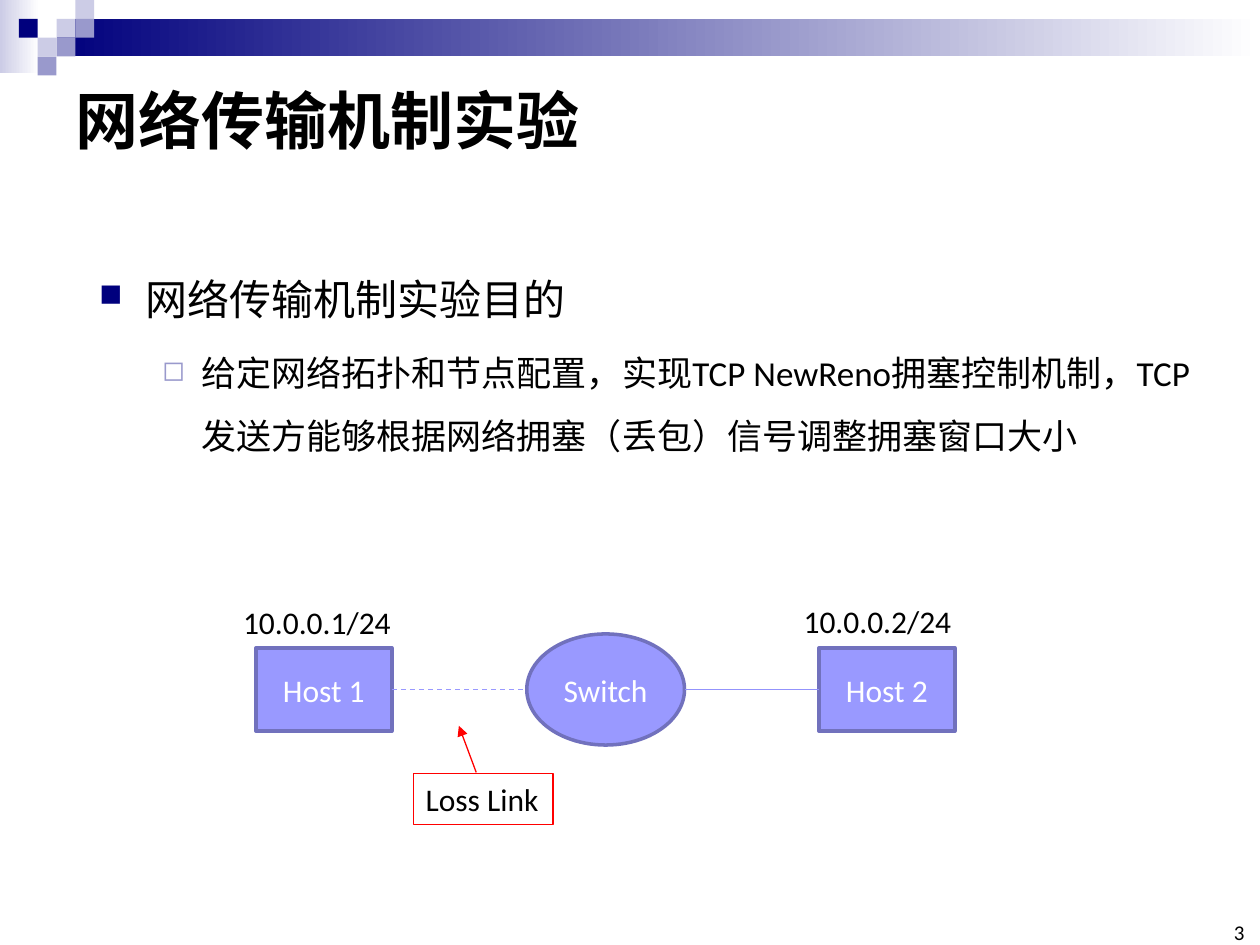
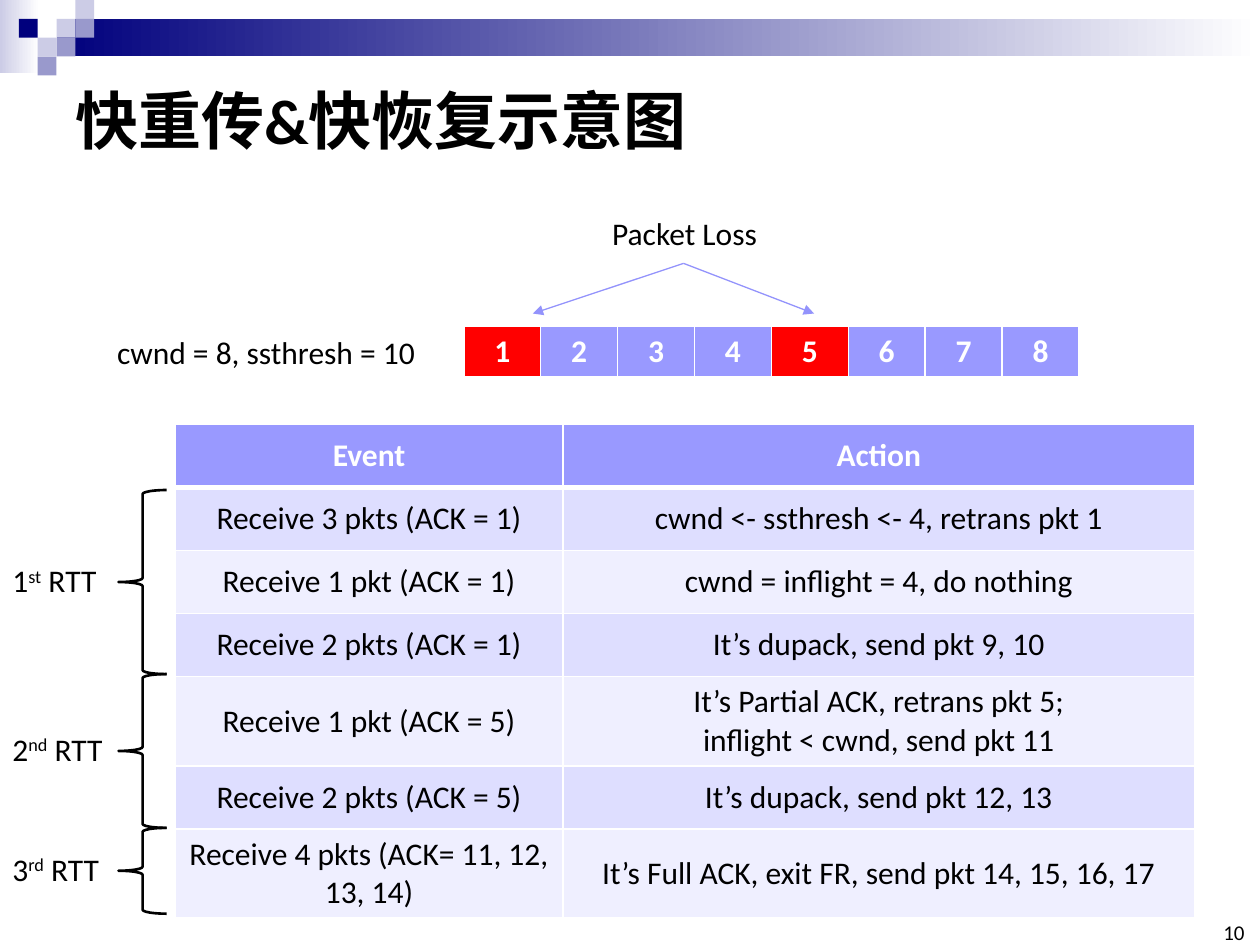
from typing import NamedTuple, Optional

from lxml.etree import SubElement
from pptx import Presentation
from pptx.dml.color import RGBColor
from pptx.enum.dml import MSO_LINE
from pptx.enum.shapes import MSO_CONNECTOR, MSO_SHAPE as SHAPE
from pptx.enum.text import MSO_ANCHOR as ANCHOR, MSO_AUTO_SIZE, PP_ALIGN as ALIGN
from pptx.oxml import parse_xml
from pptx.oxml.ns import nsdecls, qn
from pptx.util import Cm, Pt

FONT = "Calibri"
COLORS = {
    "black": "000000", "white": "FFFFFF", "red": "FF0000",
    "navy": "00007D", "mid": "9999CC", "pale": "CCCCE6",
    "accent": "9999FF", "outline": "7171BD", "link": "9393FC",
    "band_odd": "DEDEFF", "band_even": "EFEFFF",
}


class Box(NamedTuple):
    """Left, top, width and height in centimetres."""
    x: float
    y: float
    w: float
    h: float

    def emu(self) -> list:
        return [Cm(v) for v in self]


class Run(NamedTuple):
    text: str
    size: float = 18
    color: str = "black"
    bold: bool = False
    raised: bool = False


class Bullet(NamedTuple):
    char: str
    color: str
    percent: int
    margin: float
    hang: float
    before: float


class Square(NamedTuple):
    col: int
    row: int
    color: str


class Round(NamedTuple):
    number: str
    suffix: str
    height: float


def rgb(name: str) -> RGBColor:
    return RGBColor.from_string(COLORS[name])


# ---------- text ----------
def add_runs(p, *runs: Run) -> None:
    for run in runs:
        r = p.add_run()
        r.text = run.text
        f = r.font
        f.name, f.size, f.bold = FONT, Pt(run.size), run.bold
        f.color.rgb = rgb(run.color)
        if run.raised:
            r._r.get_or_add_rPr().set("baseline", "30000")


def add_text(s, box: Box, *runs: Run, wrap: bool = False, anchor=ANCHOR.TOP):
    sp = s.shapes.add_textbox(*box.emu())
    tf = sp.text_frame
    tf.word_wrap, tf.vertical_anchor = wrap, anchor
    if not wrap:
        tf.auto_size = MSO_AUTO_SIZE.SHAPE_TO_FIT_TEXT
    add_runs(tf.paragraphs[0], *runs)
    return sp


def add_bullet(p, b: Bullet, run: Run) -> None:
    p.line_spacing, p.space_before = 1.5, Pt(b.before)
    pPr = p._p.get_or_add_pPr()
    pPr.set("marL", str(Cm(b.margin)))
    pPr.set("indent", str(-Cm(b.hang)))
    color = SubElement(pPr, qn("a:buClr"))
    SubElement(color, qn("a:srgbClr"), val=COLORS[b.color])
    SubElement(pPr, qn("a:buSzPct"), val=str(b.percent * 1000))
    SubElement(pPr, qn("a:buChar"), char=b.char)
    add_runs(p, run)


# ---------- shapes and lines ----------
def add_shape(s, kind, box: Box, fill: Optional[str] = None,
              line: Optional[str] = None, width: float = 1):
    sp = s.shapes.add_shape(kind, *box.emu())
    sp.shadow.inherit = False
    if fill:
        sp.fill.solid()
        sp.fill.fore_color.rgb = rgb(fill)
    else:
        sp.fill.background()
    if line:
        sp.line.color.rgb, sp.line.width = rgb(line), Pt(width)
    else:
        sp.line.fill.background()
    return sp


def add_gradient(s, box: Box, start: str) -> None:
    fill = add_shape(s, SHAPE.RECTANGLE, box, start).fill
    fill.gradient()
    fill.gradient_angle = 0
    for stop, color in zip(fill.gradient_stops, (start, "white")):
        stop.color.rgb = rgb(color)


def add_node(s, kind, box: Box, label: str) -> None:
    tf = add_shape(s, kind, box, "accent", "outline", 2).text_frame
    tf.vertical_anchor = ANCHOR.MIDDLE
    tf.paragraphs[0].alignment = ALIGN.CENTER
    add_runs(tf.paragraphs[0], Run(label, color="white"))


def add_line(s, start: tuple, end: tuple, color: str = "link",
             dashed: bool = False, arrow: bool = False) -> None:
    ends = [Cm(v) for v in (*start, *end)]
    c = s.shapes.add_connector(MSO_CONNECTOR.STRAIGHT, *ends)
    c.line.color.rgb, c.line.width = rgb(color), Pt(0.75)
    if dashed:
        c.line.dash_style = MSO_LINE.DASH
    if arrow:
        SubElement(c.line._get_or_add_ln(), qn("a:tailEnd"), type="triangle")
    SubElement(c._element.spPr, qn("a:effectLst"))


# ---------- tables ----------
def add_grid(s, x: float, y: float, widths: list, heights: list):
    box = Box(x, y, sum(widths), sum(heights))
    t = s.shapes.add_table(len(heights), len(widths), *box.emu()).table
    t.first_row = t.horz_banding = False
    for col, w in zip(t.columns, widths):
        col.width = Cm(w)
    for row, h in zip(t.rows, heights):
        row.height = Cm(h)
    return t


def fill_cell(cell, lines: list, fill: str, color: str = "black",
              bold: bool = False, top: float = 1, bottom: float = 1,
              anchor=ANCHOR.MIDDLE) -> None:
    cell.vertical_anchor = anchor
    cell.fill.solid()
    cell.fill.fore_color.rgb = rgb(fill)
    tf = cell.text_frame
    for i, text in enumerate(lines):
        p = tf.add_paragraph() if i else tf.paragraphs[0]
        p.alignment = ALIGN.CENTER
        add_runs(p, Run(text, color=color, bold=bold))
    borders = (("lnL", 1), ("lnR", 1), ("lnT", top), ("lnB", bottom))
    for i, (side, width) in enumerate(borders):
        cell._tc.get_or_add_tcPr().insert(i, parse_xml(
            f'<a:{side} {nsdecls("a")} w="{Pt(width)}"><a:solidFill>'
            f'<a:srgbClr val="{COLORS["white"]}"/></a:solidFill></a:{side}>'))


# ---------- shared slide frame ----------
UNIT = 0.38
SQUARES = [
    Square(3, 1, "pale"), Square(4, 0, "pale"), Square(4, 1, "mid"),
    Square(2, 2, "pale"), Square(1, 1, "navy"), Square(3, 2, "mid"),
    Square(2, 3, "mid"),
]


def new_slide(prs, title: str, number: int):
    s = prs.slides.add_slide(prs.slide_layouts[6])
    add_gradient(s, Box(0, 0, 0.79, 1.47), "pale")
    add_gradient(s, Box(3 * UNIT, UNIT, 25.4 - 3 * UNIT, 2 * UNIT), "navy")
    for q in SQUARES:
        add_shape(s, SHAPE.RECTANGLE,
                  Box(q.col * UNIT, q.row * UNIT, UNIT, UNIT), q.color)
    add_text(s, Box(1.27, 1.27, 22.86, 2.26), Run(title, 36, bold=True),
             wrap=True, anchor=ANCHOR.MIDDLE)
    tf = add_text(s, Box(24.51, 18.62, 0.58, 0.43), Run(str(number), 12),
                  wrap=True, anchor=ANCHOR.BOTTOM).text_frame
    tf.margin_left = tf.margin_right = tf.margin_top = tf.margin_bottom = 0
    tf.paragraphs[0].alignment = ALIGN.RIGHT
    return s


# ---------- slide: purpose and topology ----------
def build_purpose(prs) -> None:
    s = new_slide(prs, "网络传输机制实验", 3)
    tf = s.shapes.add_textbox(*Box(1.75, 4.88, 22.78, 4.93).emu()).text_frame
    tf.word_wrap = True
    add_bullet(tf.paragraphs[0], Bullet("■", "navy", 75, 0.94, 0.94, 0),
               Run("网络传输机制实验目的", 24))
    add_bullet(tf.add_paragraph(), Bullet("◻", "mid", 80, 2.06, 0.79, 4),
               Run("给定网络拓扑和节点配置，实现TCP NewReno拥塞控制机制，"
                   "TCP发送方能够根据网络拥塞（丢包）信号调整拥塞窗口大小", 20))

    # Hosts and switch share one horizontal axis
    axis = 13.9
    host1, host2 = (Box(x, axis - 0.84, 2.74, 1.68) for x in (5.16, 16.51))
    switch = Box(10.62, axis - 1.12, 3.18, 2.24)
    add_node(s, SHAPE.RECTANGLE, host1, "Host 1")
    add_node(s, SHAPE.RECTANGLE, host2, "Host 2")
    add_text(s, Box(4.65, 12.04, 3.53, 1.02), Run("10.0.0.1/24"))
    add_text(s, Box(15.95, 12.01, 3.53, 1.02), Run("10.0.0.2/24"))
    add_line(s, (host1.x + host1.w, axis), (switch.x, axis), "accent", dashed=True)
    add_node(s, SHAPE.OVAL, switch, "Switch")
    add_line(s, (switch.x + switch.w, axis), (host2.x, axis))

    # Callout on the lossy link
    add_line(s, (9.6, 15.57), (9.25, 14.63), "red", arrow=True)
    note = add_text(s, Box(8.33, 15.6, 2.82, 1.02), Run("Loss Link"))
    note.line.color.rgb, note.line.width = rgb("red"), Pt(0.75)


# ---------- slide: fast retransmit and recovery ----------
LOST = (1, 5)
EVENTS = [
    ("Receive 3 pkts (ACK = 1)", ["cwnd <- ssthresh <- 4, retrans pkt 1"]),
    ("Receive 1 pkt (ACK = 1)", ["cwnd = inflight = 4, do nothing"]),
    ("Receive 2 pkts (ACK = 1)", ["It’s dupack, send pkt 9, 10"]),
    ("Receive 1 pkt (ACK = 5)",
     ["It’s Partial ACK, retrans pkt 5;", "inflight < cwnd, send pkt 11"]),
    ("Receive 2 pkts (ACK = 5)", ["It’s dupack, send pkt 12, 13"]),
    ("Receive 4 pkts (ACK= 11, 12, 13, 14)",
     ["It’s Full ACK, exit FR, send pkt 14, 15, 16, 17"]),
]
ROUNDS = [Round("1", "st", 3.71), Round("2", "nd", 3.1), Round("3", "rd", 1.73)]


def build_recovery(prs) -> None:
    s = new_slide(prs, "快重传&快恢复示意图", 10)

    # Packet window, lost packets in red
    t = add_grid(s, 9.35, 6.58, [1.55] * 8, [1.04])
    for n, cell in enumerate(t.rows[0].cells, 1):
        fill_cell(cell, [str(n)], "red" if n in LOST else "accent", "white",
                  bold=True, bottom=3, anchor=ANCHOR.TOP)
    for x in (10.74, 16.41):
        add_line(s, (13.78, 5.31), (x, 6.32), arrow=True)
    add_text(s, Box(12.09, 4.19, 3.45, 1.02), Run("Packet Loss"))
    add_text(s, Box(2.11, 6.58, 6.63, 1.02), Run("cwnd = 8, ssthresh = 10"),
             wrap=True)

    # Events and the sender's actions
    t = add_grid(s, 3.53, 8.56, [7.82, 12.73],
                 [1.27] * 4 + [1.8, 1.27, 1.8])
    for cell, text in zip(t.rows[0].cells, ("Event", "Action")):
        fill_cell(cell, [text], "accent", "white", bold=True, bottom=3)
    for i, (event, actions) in enumerate(EVENTS, 1):
        for cell, lines in zip(t.rows[i].cells, ([event], actions)):
            fill_cell(cell, lines, "band_odd" if i % 2 else "band_even",
                      top=3 if i == 1 else 1)

    # Braces stacked downwards, one per round trip
    y = 9.88
    for rtt in ROUNDS:
        add_shape(s, SHAPE.LEFT_BRACE, Box(2.39, y, 0.97, rtt.height),
                  line="black", width=1.5)
        add_text(s, Box(0, y + rtt.height / 2 - 0.55, 2.35, 1.02),
                 Run(rtt.number), Run(rtt.suffix, raised=True), Run(" RTT"))
        y += rtt.height


prs = Presentation()
prs.slide_width, prs.slide_height = Cm(25.4), Cm(19.05)
build_purpose(prs)
build_recovery(prs)
prs.save("out.pptx")
